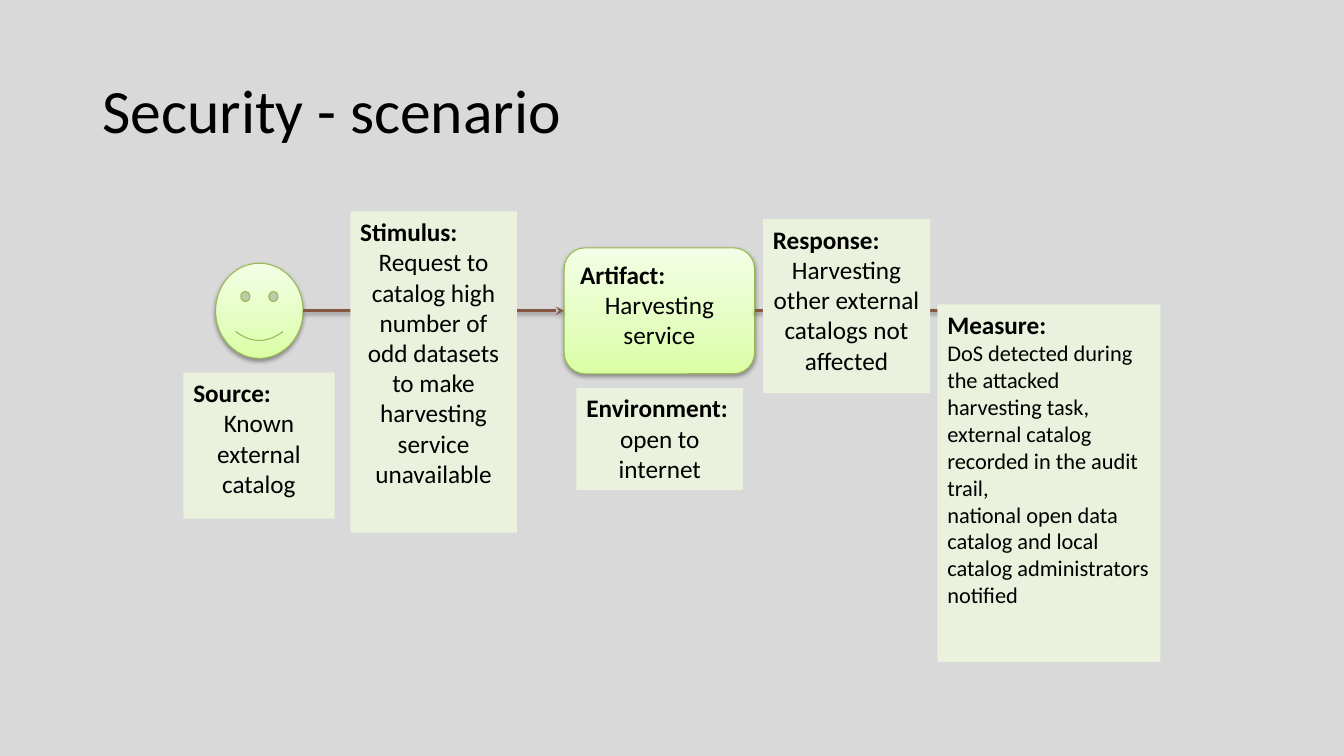
from copy import deepcopy

from lxml import etree
from pptx import Presentation
from pptx.dml.color import RGBColor
from pptx.enum.shapes import MSO_CONNECTOR, MSO_SHAPE
from pptx.enum.text import MSO_ANCHOR, PP_ALIGN
from pptx.oxml.ns import qn
from pptx.util import Pt

RECT = MSO_SHAPE.RECTANGLE
ROUND = MSO_SHAPE.ROUNDED_RECTANGLE
SMILEY = MSO_SHAPE.SMILEY_FACE
LINE = MSO_CONNECTOR.STRAIGHT
TOP, MIDDLE = MSO_ANCHOR.TOP, MSO_ANCHOR.MIDDLE
LEFT, CENTER = PP_ALIGN.LEFT, PP_ALIGN.CENTER

GREY = RGBColor(0xD9, 0xD9, 0xD9)
BLACK = RGBColor(0, 0, 0)
PALE = RGBColor(0xEA, 0xF1, 0xDD)
GREEN = RGBColor(0x97, 0xB8, 0x53)
BROWN = RGBColor(0x86, 0x56, 0x40)
BLEND = [(0, RGBColor(0xDA, 0xFE, 0xA4)),
         (0.35, RGBColor(0xE3, 0xFE, 0xBF)),
         (1, RGBColor(0xF4, 0xFE, 0xE6))]

TITLE = dict(name="Calibri", size=Pt(44), bold=False)
HEAD = dict(name="Calibri", size=Pt(18), bold=True)
BODY = dict(HEAD, bold=False)
SMALL = dict(BODY, size=Pt(16))
FRAME = dict(word_wrap=True, vertical_anchor=TOP,
             margin_left=Pt(7.2), margin_right=Pt(7.2),
             margin_top=Pt(3.6), margin_bottom=Pt(3.6))

ROW = 222


def put(thing, values):
    for name, value in values.items():
        setattr(thing, name, value)


def write(para, text, font, align=LEFT):
    para.text = text
    para.alignment = align
    put(para.font, font)
    para.font.color.rgb = BLACK


def label(shape, head, lines, font=BODY, align=CENTER):
    frame = shape.text_frame
    put(frame, FRAME)
    write(frame.paragraphs[0], head, HEAD)
    for text in lines:
        write(frame.add_paragraph(), text, font, align)


def shade(shape):
    effects = etree.SubElement(shape._element.spPr, qn("a:effectLst"))
    outer = etree.SubElement(effects, qn("a:outerShdw"), blurRad=str(Pt(3.1)),
                             dist=str(Pt(1.6)), dir="5400000", rotWithShape="0")
    color = etree.SubElement(outer, qn("a:srgbClr"), val="000000")
    etree.SubElement(color, qn("a:alpha"), val="37000")


def add(slide, kind, left, top, width, height):
    return slide.shapes.add_shape(kind, Pt(left), Pt(top), Pt(width), Pt(height))


def card(slide, place, head, lines, **style):
    shape = add(slide, RECT, *place)
    shape.shadow.inherit = False
    shape.fill.solid()
    shape.fill.fore_color.rgb = PALE
    shape.line.fill.background()
    label(shape, head, lines, **style)


def glow(slide, kind, left, width, height):
    shape = add(slide, kind, left, ROW - height / 2, width, height)
    shape.fill.gradient()
    shape.fill.gradient_angle = 90
    stops = shape._element.spPr.find(".//" + qn("a:gsLst"))
    stops.append(deepcopy(stops[0]))
    for stop, (spot, color) in zip(shape.fill.gradient_stops, BLEND):
        stop.position = spot
        stop.color.rgb = color
    shape.line.color.rgb = GREEN
    shape.line.width = Pt(0.75)
    shade(shape)
    return shape


def arrow(slide, start, end):
    link = slide.shapes.add_connector(LINE, Pt(start), Pt(ROW), Pt(end), Pt(ROW))
    link.line.color.rgb = BROWN
    link.line.width = Pt(2)
    etree.SubElement(link.line._get_or_add_ln(), qn("a:tailEnd"), type="stealth")
    shade(link)
    return link


def main():
    deck = Presentation()
    deck.slide_width, deck.slide_height = Pt(960), Pt(540)
    slide = deck.slides.add_slide(deck.slide_layouts[5])
    slide.background.fill.solid()
    slide.background.fill.fore_color.rgb = GREY

    title = slide.shapes.title
    put(title, dict(left=Pt(66), top=Pt(28.75), width=Pt(828), height=Pt(104.4)))
    put(title.text_frame, dict(FRAME, vertical_anchor=MIDDLE))
    write(title.text_frame.paragraphs[0], "Security - scenario", TITLE)
    title.text_frame.paragraphs[0].line_spacing = 0.9

    glow(slide, SMILEY, 154, 62.5, 68)
    card(slide, (131, 266, 108, 104.5), "Source:", ["Known external catalog"])
    core = glow(slide, ROUND, 403, 136, 90)
    label(core, "Artifact:", ["Harvesting service"])
    arrow(slide, 216.5, 403).end_connect(core, 1)
    card(slide, (250.2, 151, 119, 229.5), "Stimulus:",
         ["Request to catalog high number of odd datasets to make "
          "harvesting service unavailable"])
    arrow(slide, 539, 698.5).begin_connect(core, 3)
    card(slide, (411.8, 277, 119, 73), "Environment:", ["open to internet"])
    card(slide, (545, 156.5, 119.4, 124.3), "Response:",
         ["Harvesting other external catalogs not affected"])
    card(slide, (669.6, 217.4, 159.3, 255.5), "Measure:",
         ["DoS detected during the attacked harvesting task,",
          "external catalog recorded in the audit trail,",
          "national open data catalog and local catalog administrators notified"],
         font=SMALL, align=LEFT)

    deck.save("out.pptx")


if __name__ == "__main__":
    main()
